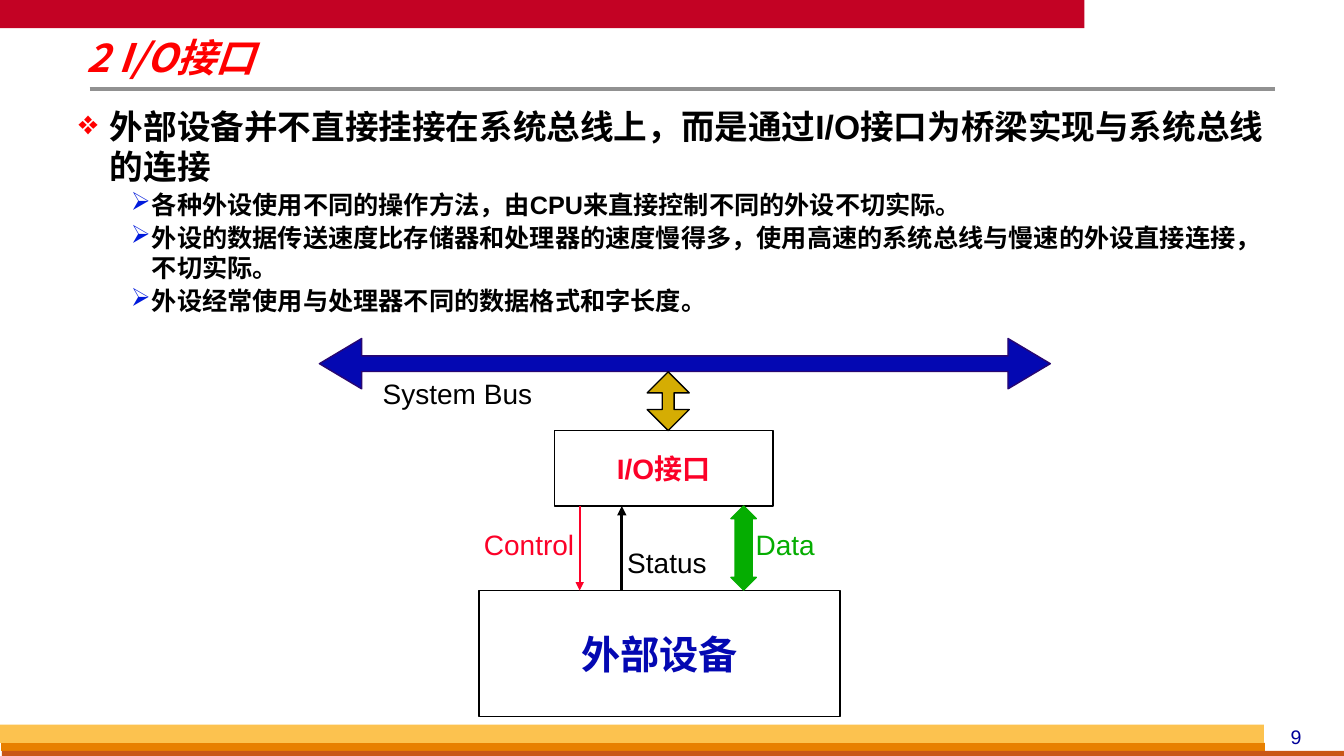
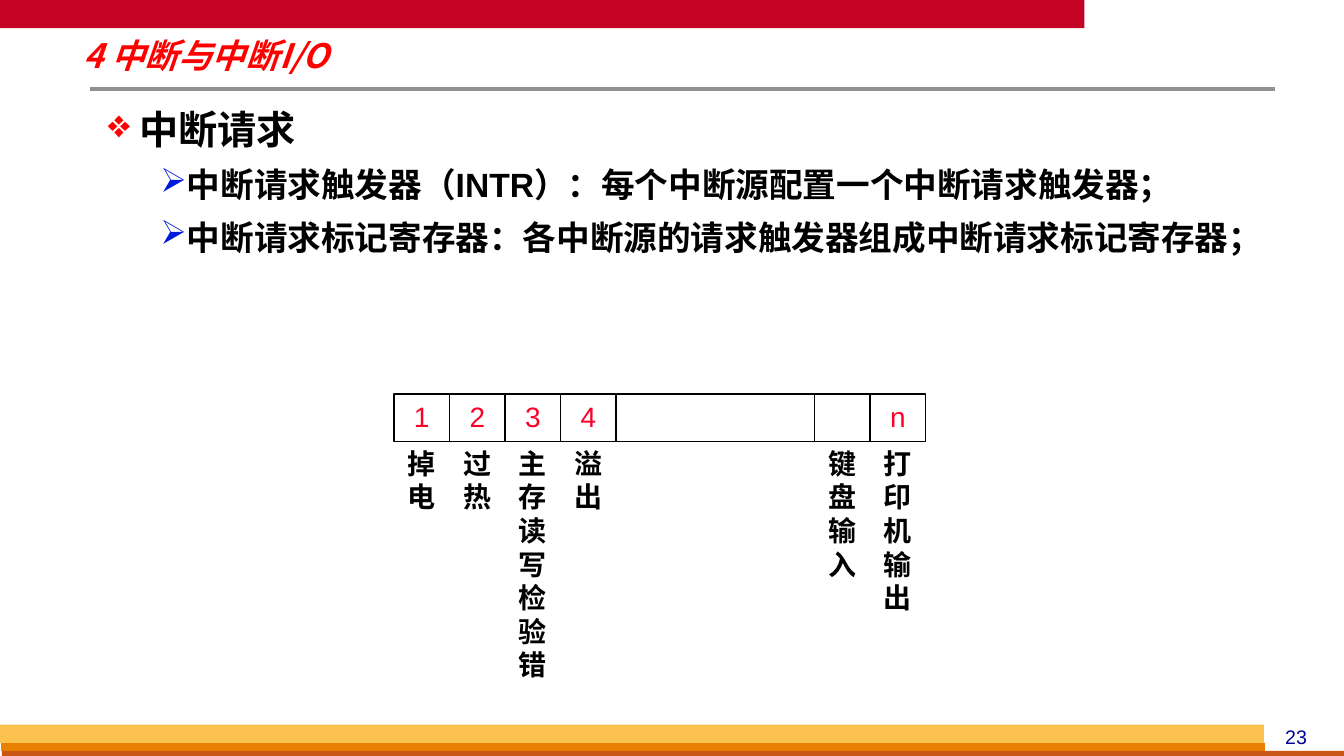
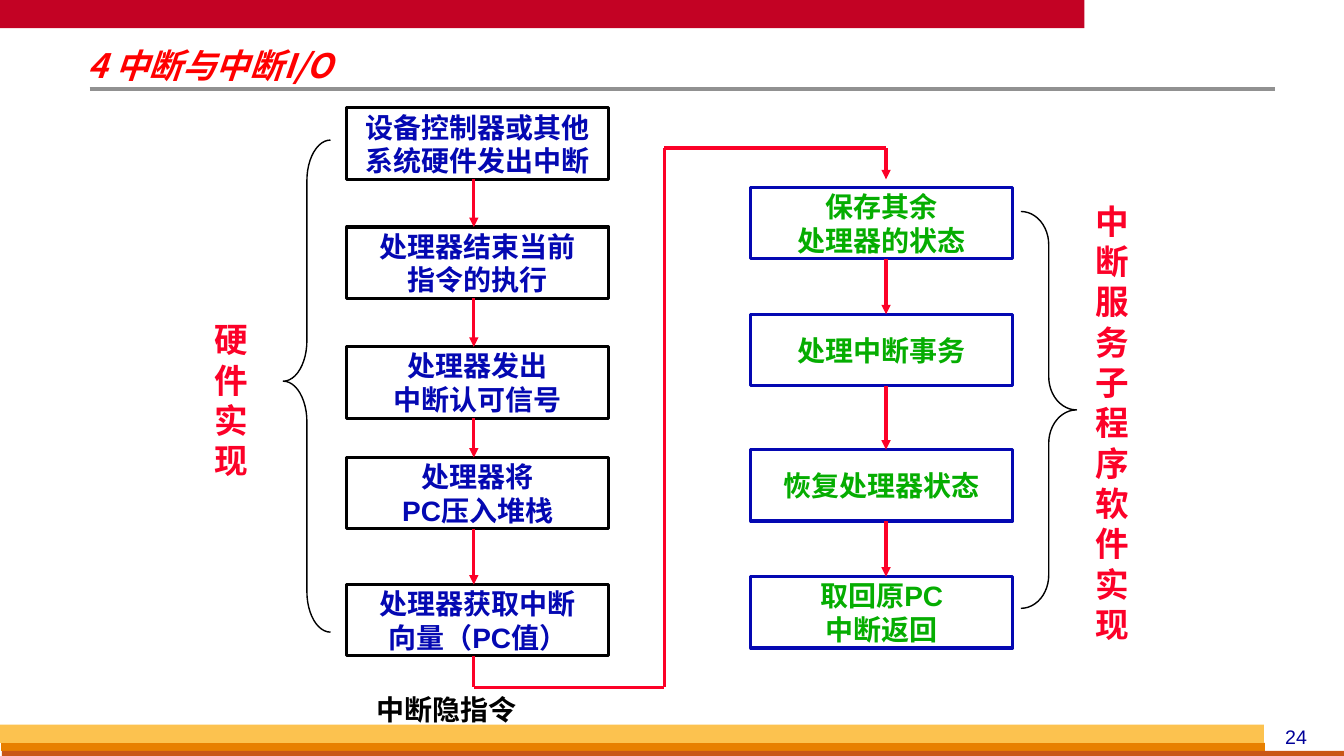
from itertools import pairwise

from lxml import etree
from pptx import Presentation
from pptx import util as u
from pptx.dml.color import RGBColor
from pptx.enum import lang, shapes, text
from pptx.oxml.ns import qn

Cm, Pt = u.Cm, u.Pt
SHAPE, ANCHOR, ALIGN = shapes.MSO_SHAPE, text.MSO_ANCHOR, text.PP_ALIGN

COLORS = {
    "title": "FF0000", "band": "C30224", "rule": "919191", "page": "000099",
    "yellow": "FCC24F", "orange": "E88000", "brown": "C95616",
    "diamond": "FF0000", "arrowhead": "001ADC",
    "black": "000000", "red": "FC0128", "blue": "0408B2", "green": "05AD01",
    "gold": "D5AD03", "bus_edge": "280771",
}
BODY_FONT, TITLE_FONT = "Arial", "Noto Sans CJK SC"
BULLETS = [("❖", "diamond", 0.79, -0.79), ("➢", "arrowhead", 1.85, -0.53)]

# Positions are (left, top, width, height) in centimetres.
TOP_BAND = ("band", (0, 0, 27.33, 0.71))
FOOTER_BANDS = [
    ("orange", (0.03, 18.72, 31.85, 0.2)),
    ("brown", (0.05, 18.92, 33.87, 0.2)),
    ("yellow", (0, 18.26, 31.85, 0.46)),
]

INTERFACE_POINTS = [
    (0, 24, "外部设备并不直接挂接在系统总线上，而是通过I/O接口为桥梁实现与系统总线的连接"),
    (1, 18, "各种外设使用不同的操作方法，由CPU来直接控制不同的外设不切实际。"),
    (1, 18, "外设的数据传送速度比存储器和处理器的速度慢得多，使用高速的系统总线与慢速的外设直接连接，不切实际。"),
    (1, 18, "外设经常使用与处理器不同的数据格式和字长度。"),
]
INTERFACE_LABELS = [
    ("System Bus", "black", (8.89, 9.37, 5.28, 1.09)),
    ("Data", "green", (18.42, 13.18, 2.74, 1.09)),
    ("Control", "red", (11.43, 13.18, 3.81, 1.09)),
    ("Status", "black", (15.44, 13.61, 2.74, 1.09)),
]

REQUEST_POINTS = [
    (0, 28, "中断请求"),
    (1, 24, "中断请求触发器（INTR）：每个中断源配置一个中断请求触发器；"),
    (1, 24, "中断请求标记寄存器：各中断源的请求触发器组成中断请求标记寄存器；"),
]
BIT, GAP = 1.4, 5
REGISTER = [
    ("1", "掉电", BIT), ("2", "过热", BIT), ("3", "主存读写检验错", BIT),
    ("4", "溢出", BIT), ("", "", GAP), ("", "键盘输入", BIT), ("n", "打印机输出", BIT),
]

STEP_W, STEP_H = 6.6, 1.8
FLOWS = [
    {"left": 8.74, "arrow_x": 11.94, "edge": "black", "ink": "blue", "steps": [
        (2.72, ["设备控制器或其他", "系统硬件发出中断"]),
        (5.72, ["处理器结束当前", "指令的执行"]),
        (8.74, ["处理器发出", "中断认可信号"]),
        (11.53, ["处理器将", "PC压入堆栈"]),
        (14.73, ["处理器获取中断", "向量（PC值）"])]},
    {"left": 18.92, "arrow_x": 22.33, "edge": "blue", "ink": "green", "steps": [
        (4.72, ["保存其余", "处理器的状态"]),
        (7.92, ["处理中断事务"]),
        (11.33, ["恢复处理器状态"]),
        (14.53, ["取回原PC", "中断返回"])]},
]
LINK = [(11.94, 16.53), (11.94, 17.32), (16.74, 17.32),
        (16.74, 3.73), (22.33, 3.73), (22.33, 4.52)]
BRACES = [
    (SHAPE.LEFT_BRACE, (7.14, 3.53, 1.19, 12.4), (0.86, 0.49)),
    (SHAPE.RIGHT_BRACE, (25.73, 5.33, 1.4, 10), (0.6, 0.5)),
]
FLOW_LABELS = [
    ("硬件实现", 24, "red", (4.93, 7.92, 1.8, 4.37)),
    ("中断服务子程序软件实现", 24, "red", (27.13, 4.93, 1.8, 11.53)),
    ("中断隐指令", 20, "black", (6.45, 17.32, 9.6, 1.96)),
]


def rgb(name):
    return RGBColor.from_string(COLORS[name])


def add_run(p, words, size, color, bold=False, italic=False, font=BODY_FONT):
    r = p.add_run()
    r.text = words
    f = r.font
    f.name, f.size, f.bold, f.italic = font, Pt(size), bold, italic
    f.color.rgb = rgb(color)
    f.language_id = lang.MSO_LANGUAGE_ID.SIMPLIFIED_CHINESE


def write(sp, lines, size, color, bold=False, anchor=ANCHOR.TOP, wrap=True):
    """Fill a shape with centred lines, one paragraph each."""
    tf = sp.text_frame
    tf.word_wrap, tf.vertical_anchor = wrap, anchor
    for i, line in enumerate(lines):
        p = tf.add_paragraph() if i else tf.paragraphs[0]
        p.alignment = ALIGN.CENTER
        add_run(p, line, size, color, bold)


def add_box(s, at):
    return s.shapes.add_textbox(*map(Cm, at))


def add_label(s, words, at, size, color, bold=False):
    write(add_box(s, at), [words], size, color, bold)


def add_shape(s, kind, at, fill=None, edge=None, width=1, adj=()):
    sp = s.shapes.add_shape(kind, *map(Cm, at))
    sp.shadow.inherit = False
    if fill:
        sp.fill.solid()
        sp.fill.fore_color.rgb = rgb(fill)
    else:
        sp.fill.background()
    if edge:
        sp.line.color.rgb = rgb(edge)
        sp.line.width = Pt(width)
    else:
        sp.line.fill.background()
    for i, value in enumerate(adj):
        sp.adjustments[i] = value
    return sp


def add_route(s, points, color, width, arrow=True):
    """Join the points with straight lines; the last may end in an arrowhead."""
    for start, end in pairwise(points):
        c = s.shapes.add_connector(shapes.MSO_CONNECTOR.STRAIGHT, *map(Cm, start + end))
        c.line.color.rgb = rgb(color)
        c.line.width = Pt(width)
        etree.SubElement(c._element.spPr, qn("a:effectLst"))
    if arrow:
        etree.SubElement(c.line._get_or_add_ln(), qn("a:tailEnd"), type="triangle")


def set_margins(tf, side, top):
    tf.margin_left = tf.margin_right = Cm(side)
    tf.margin_top = tf.margin_bottom = Cm(top)


def add_bullets(s, points, at, margin_top, before, after, spacing):
    """Write (level, size, words) points; before and after are shares of the size."""
    tf = add_box(s, at).text_frame
    tf.word_wrap = True
    set_margins(tf, 0.18, margin_top)
    for i, (level, size, words) in enumerate(points):
        p = tf.add_paragraph() if i else tf.paragraphs[0]
        p.level, p.line_spacing = level, spacing
        p.space_before, p.space_after = Pt(size * before), Pt(size * after)
        char, color, margin, indent = BULLETS[level]
        pPr = p._p.get_or_add_pPr()
        pPr.set("marL", str(Cm(margin)))
        pPr.set("indent", str(Cm(indent)))
        clr = etree.SubElement(pPr, qn("a:buClr"))
        etree.SubElement(clr, qn("a:srgbClr"), val=COLORS[color])
        etree.SubElement(pPr, qn("a:buChar"), char=char)
        add_run(p, words, size, "black", bold=True)


def add_slide(prs, title, size, at, page):
    s = prs.slides.add_slide(prs.slide_layouts[6])
    add_shape(s, SHAPE.RECTANGLE, TOP_BAND[1], TOP_BAND[0])
    add_route(s, [(2.26, 2.24), (32.13, 2.24)], "rule", 3, arrow=False)
    for color, place in FOOTER_BANDS:
        add_shape(s, SHAPE.RECTANGLE, place, color)
    add_label(s, page, (31.6, 18.14, 2.13, 0.84), 14, "page")
    tf = add_box(s, at).text_frame
    tf.word_wrap, tf.vertical_anchor = True, ANCHOR.MIDDLE
    set_margins(tf, 0.18, 0.08)
    p = tf.paragraphs[0]
    p.line_spacing = 0.87
    add_run(p, title, size, "title", True, True, TITLE_FONT)
    return s


def interface_slide(prs):
    s = add_slide(prs, "2 I/O接口", 28, (2.01, 0.94, 14.6, 1.17), "9")
    add_bullets(s, INTERFACE_POINTS, (1.8, 2.49, 30.33, 5.66), 0.18, 0.05, 0.05, 1.0)
    add_shape(s, SHAPE.LEFT_RIGHT_ARROW, (8.05, 8.53, 18.42, 1.27),
              "blue", "bus_edge", adj=(0.31, 0.84))
    interface = add_shape(s, SHAPE.RECTANGLE, (13.97, 10.85, 5.51, 1.9), edge="black")
    write(interface, ["I/O接口"], 20, "red", True, ANCHOR.MIDDLE, False)
    add_shape(s, SHAPE.UP_DOWN_ARROW, (16.31, 9.37, 1.06, 1.48),
              "gold", "black", adj=(0.5, 0.28))
    device = add_shape(s, SHAPE.RECTANGLE, (12.07, 14.88, 9.1, 3.18), edge="black")
    write(device, ["外部设备"], 28, "blue", True, ANCHOR.MIDDLE, False)
    add_route(s, [(14.61, 12.75), (14.61, 14.88)], "red", 1.5)
    add_route(s, [(15.67, 14.88), (15.67, 12.75)], "black", 2.25)
    add_shape(s, SHAPE.UP_DOWN_ARROW, (18.42, 12.75, 0.64, 2.12),
              "green", "green", adj=(0.5, 0.67))
    for words, color, at in INTERFACE_LABELS:
        add_label(s, words, at, 20, color)


def request_slide(prs):
    s = add_slide(prs, "4 中断与中断I/O", 24, (1.93, 0.94, 14.6, 1.04), "23")
    add_bullets(s, REQUEST_POINTS, (2.54, 2.51, 29.59, 6.32), 0.08, 0.3, 0, 1.05)
    left, top, height = 9.93, 9.93, 1.19
    for bit, source, width in REGISTER:
        cell = add_shape(s, SHAPE.RECTANGLE, (left, top, width, height), edge="black")
        if bit:
            write(cell, [bit], 20, "red")
        if source:
            add_label(s, source, (left, top + height, width, 0.25 + 0.86 * len(source)),
                      20, "black", True)
        left += width


def flow_slide(prs):
    s = add_slide(prs, "4 中断与中断I/O", 24, (2.03, 1.19, 14.6, 1.04), "24")
    for flow in FLOWS:
        for top, lines in flow["steps"]:
            step = add_shape(s, SHAPE.RECTANGLE, (flow["left"], top, STEP_W, STEP_H),
                             edge=flow["edge"], width=2.25)
            write(step, lines, 20, flow["ink"], True, ANCHOR.MIDDLE, False)
        x = flow["arrow_x"]
        for (top, _), (next_top, _) in pairwise(flow["steps"]):
            add_route(s, [(x, top + STEP_H), (x, next_top)], "red", 2.25)
    add_route(s, LINK, "red", 2.25)
    for kind, at, adj in BRACES:
        add_shape(s, kind, at, edge="black", adj=adj)
    for words, size, color, at in FLOW_LABELS:
        add_label(s, words, at, size, color, True)


def main():
    prs = Presentation()
    prs.slide_width, prs.slide_height = Cm(33.87), Cm(19.05)
    interface_slide(prs)
    request_slide(prs)
    flow_slide(prs)
    prs.save("out.pptx")


if __name__ == "__main__":
    main()
